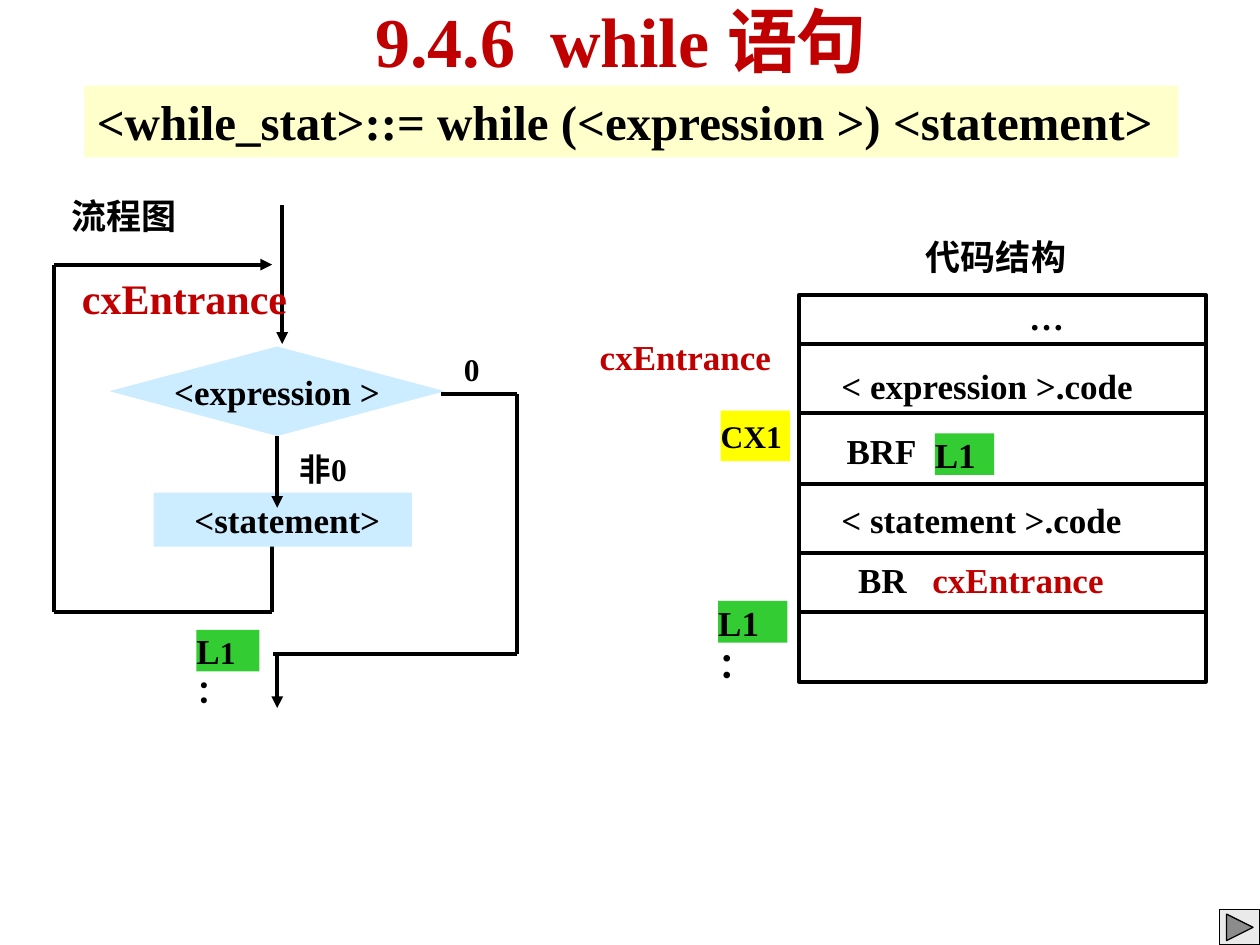
from lxml import etree
from pptx import Presentation
from pptx.dml.color import RGBColor
from pptx.enum.shapes import MSO_CONNECTOR, MSO_SHAPE
from pptx.enum.text import MSO_ANCHOR, MSO_AUTO_SIZE, PP_ALIGN
from pptx.oxml.ns import qn
from pptx.util import Inches, Pt

RECTANGLE = MSO_SHAPE.RECTANGLE
DIAMOND = MSO_SHAPE.DIAMOND
NEXT_BUTTON = MSO_SHAPE.ACTION_BUTTON_FORWARD_OR_NEXT
STRAIGHT = MSO_CONNECTOR.STRAIGHT
TOP, MIDDLE = MSO_ANCHOR.TOP, MSO_ANCHOR.MIDDLE
LEFT, CENTER = PP_ALIGN.LEFT, PP_ALIGN.CENTER
NO_AUTOFIT = MSO_AUTO_SIZE.NONE

BLACK = RGBColor(0x00, 0x00, 0x00)
RED = RGBColor(0xC0, 0x00, 0x00)
CREAM = RGBColor(0xFF, 0xFF, 0xCC)
SKY = RGBColor(0xCC, 0xEC, 0xFF)
GREEN = RGBColor(0x33, 0xCC, 0x33)
YELLOW = RGBColor(0xFF, 0xFF, 0x00)
GRAY = RGBColor(0xEA, 0xEA, 0xEA)

SERIF = "Times New Roman"
CJK = "Noto Sans CJK SC"
DEFAULT_INSETS = (0.1, 0.05, 0.1, 0.05)
NO_INSETS = (0, 0, 0, 0)


def set_font(paragraph, size, color=BLACK, name=SERIF):
    font = paragraph.font
    font.size, font.bold, font.name = Pt(size), True, name
    font.color.rgb = color
    properties = paragraph._p.pPr.find(qn("a:defRPr"))
    etree.SubElement(properties, qn("a:ea")).set("typeface", CJK)


def set_insets(frame, insets):
    (frame.margin_left, frame.margin_top,
     frame.margin_right, frame.margin_bottom) = map(Inches, insets)


def place(box, x, y, width, height):
    return (box[0] + Inches(x), box[1] + Inches(y), Inches(width), Inches(height))


def add_block(slide, bounds, kind=RECTANGLE, fill=None, line_width=None):
    block = slide.shapes.add_shape(kind, *bounds)
    block.shadow.inherit = False
    if fill is None:
        block.fill.background()
    else:
        block.fill.solid()
        block.fill.fore_color.rgb = fill
    if line_width is None:
        block.line.fill.background()
    else:
        block.line.color.rgb = BLACK
        block.line.width = Pt(line_width)
    return block


def add_label(slide, bounds, text, size=20, color=BLACK, name=SERIF, fill=None,
              kind=RECTANGLE, insets=DEFAULT_INSETS, align=LEFT, anchor=TOP,
              wrap=True, spacing=None, tab=None):
    if fill is None:
        label = slide.shapes.add_textbox(*bounds)
    else:
        label = add_block(slide, bounds, kind, fill)
    frame = label.text_frame
    frame.word_wrap, frame.vertical_anchor = wrap, anchor
    set_insets(frame, insets)
    paragraph = frame.paragraphs[0]
    paragraph.add_run().text = text
    paragraph.alignment = align
    if spacing:
        paragraph.line_spacing = spacing
    if tab:
        tabs = etree.SubElement(paragraph._p.get_or_add_pPr(), qn("a:tabLst"))
        etree.SubElement(tabs, qn("a:tab"), pos=str(Inches(tab)), algn="l")
    set_font(paragraph, size, color, name)
    return paragraph


def add_path(slide, box, *points, arrow=False):
    for (x1, y1), (x2, y2) in zip(points, points[1:]):
        segment = slide.shapes.add_connector(
            STRAIGHT, box[0] + Inches(x1), box[1] + Inches(y1),
            box[0] + Inches(x2), box[1] + Inches(y2))
        segment.line.color.rgb = BLACK
        segment.line.width = Pt(2.25)
        etree.SubElement(segment._element.spPr, qn("a:effectLst"))
    if arrow:
        etree.SubElement(segment.line._get_or_add_ln(), qn("a:tailEnd"), type="triangle")


def add_heading(slide, box):
    title = slide.shapes.title
    title.left, title.top, title.width, title.height = place(box, 0, 0, 10, 0.62)
    frame = title.text_frame
    frame.text = "9.4.6  while 语句"
    frame.auto_size, frame.vertical_anchor = NO_AUTOFIT, MIDDLE
    set_insets(frame, (0.1, 0.05, 0.24, 0.05))
    frame.paragraphs[0].alignment = CENTER
    set_font(frame.paragraphs[0], 40, RED)
    add_label(slide, place(box, 0.67, 0.68, 8.68, 0.57),
              "<while_stat>::= while (<expression >) <statement>",
              28, fill=CREAM, wrap=False)


def add_flowchart(slide, box):
    add_path(slide, box, (1.73, 2.79), (1.73, 3.4), (0, 3.4), (0, 0.64),
             (1.73, 0.64), arrow=True)
    add_label(slide, place(box, 0.79, 2.45, 2.05, 0.43), "<statement>",
              fill=SKY, align=CENTER, insets=(0.17, 0.05, 0.1, 0.05))
    add_path(slide, box, (1.77, 2), (1.77, 2.57), arrow=True)
    add_label(slide, place(box, 0.44, 1.29, 2.66, 0.71), "<expression >",
              fill=SKY, kind=DIAMOND, align=CENTER, anchor=MIDDLE, wrap=False)
    add_label(slide, place(box, 1.81, 2.06, 0.65, 0.4), "非0", 18, align=CENTER)
    add_label(slide, place(box, 3, 1.27, 0.63, 0.4), "0", 18, align=CENTER)
    add_path(slide, box, (3.07, 1.67), (3.67, 1.67), (3.67, 3.73), (1.74, 3.73))
    add_path(slide, box, (1.77, 3.73), (1.77, 4.16), arrow=True)
    add_path(slide, box, (1.81, 0.17), (1.81, 1.27), arrow=True)
    exit_label = add_label(slide, place(box, 1.13, 3.54, 0.5, 0.33), "L",
                           fill=GREEN, insets=NO_INSETS)
    exit_number = exit_label.add_run()
    exit_number.text = "1："
    exit_number.font.size = Pt(18)
    add_label(slide, place(box, 0.04, 0.65, 2.01, 0.51), "cxEntrance", 24, RED,
              wrap=False, insets=(0.18, 0.05, 0.1, 0.05))
    add_label(slide, place(box, 0.04, 0, 1.42, 0.43), "流程图", name=CJK, spacing=1.1)


def add_code_structure(slide, box):
    left, right = 1.65, 4.88
    add_block(slide, place(box, left, 0.55, right - left, 3.07), line_width=2.25)
    for y in (0.94, 1.49, 2.05, 2.6, 3.07):
        add_path(slide, box, (left, y), (right, y))
    add_label(slide, place(box, 2.56, 0, 1.42, 0.47), "代码结构", name=CJK, spacing=1.1)
    add_label(slide, place(box, 3.38, 0.47, 1.42, 0.47), "…", spacing=1.1)
    add_label(slide, place(box, 1.89, 1.02, 2.84, 0.47), "< expression >.code",
              spacing=1.1)
    add_label(slide, place(box, 1.93, 1.57, 2.72, 0.43), "BRF")
    add_label(slide, place(box, 1.89, 2.12, 2.84, 0.43), "< statement >.code")
    branch = add_label(slide, place(box, 1.95, 2.59, 2.6, 0.44), "BR\t",
                       insets=(0.17, 0.05, 0.1, 0.05), tab=0.59)
    target = branch.add_run()
    target.text = "cxEntrance"
    target.font.color.rgb = RED
    add_label(slide, place(box, 0, 0.87, 1.56, 0.34), "cxEntrance", color=RED,
              insets=(0.07, 0, 0, 0))
    add_label(slide, place(box, 1.01, 2.98, 0.55, 0.33), "L1：", fill=GREEN,
              insets=NO_INSETS)
    add_label(slide, place(box, 1.03, 1.47, 0.55, 0.4), "CX1", 18, fill=YELLOW,
              insets=(0, 0.05, 0, 0.05))
    add_label(slide, place(box, 2.73, 1.65, 0.47, 0.33), "L1", fill=GREEN,
              insets=NO_INSETS)


def main():
    presentation = Presentation()
    presentation.slide_width, presentation.slide_height = Inches(10), Inches(7.5)
    slide = presentation.slides.add_slide(presentation.slide_layouts[5])
    add_heading(slide, (Inches(0), Inches(0)))
    add_flowchart(slide, (Inches(0.43), Inches(1.46)))
    add_code_structure(slide, (Inches(4.69), Inches(1.79)))
    next_bounds = (Inches(9.68), Inches(7.22), Inches(0.32), Inches(0.28))
    add_block(slide, next_bounds, NEXT_BUTTON, GRAY, 0.75)
    presentation.save("out.pptx")


if __name__ == "__main__":
    main()
